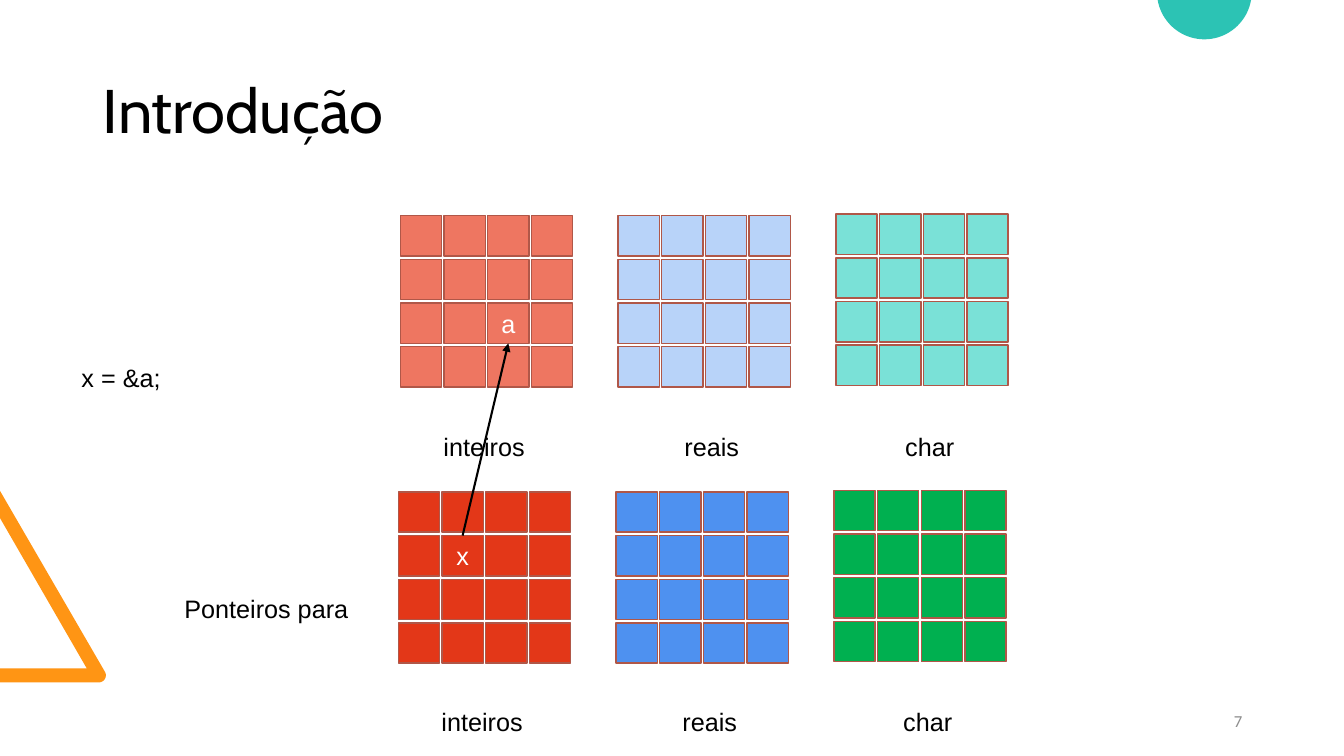
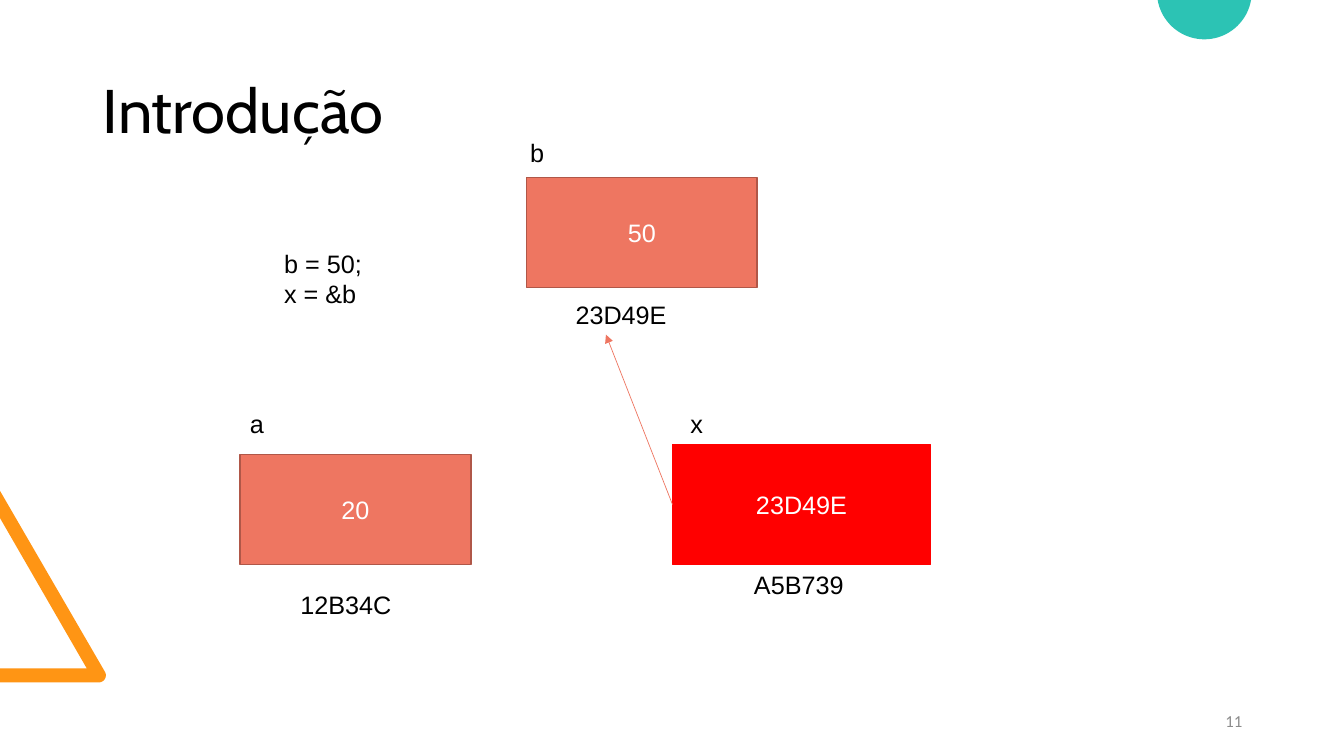
"""Build two slides on pointers and memory cells in C."""
from math import cos, sin, radians
from pptx import Presentation
from pptx.dml.color import RGBColor
from pptx.enum.shapes import MSO_CONNECTOR as Link, MSO_SHAPE as Form
from pptx.enum.text import MSO_ANCHOR as Anchor, MSO_AUTO_SIZE as Fit, PP_ALIGN as Align
from pptx.oxml.ns import qn
from pptx.util import Inches, Pt
from lxml.etree import SubElement

WIDE, HIGH = 13.33, 7.5
CORAL, EDGE, RED, BLACK, WHITE = "EE7661", "B05748", "FF0000", "000000", "FFFFFF"
ORANGE, TEAL, GREY = "FF9514", "2CC3B4", "8C8C8C"
BODY = {"name": "Arial", "size": Pt(18)}
HEAD = {"name": "Cabin", "size": Pt(44)}
FOOT = {"name": "Calibri", "size": Pt(12)}

SIDE, CELL_W, CELL_H, STEP = 4, 0.41, 0.4, 0.4333
GRID_X, GRID_STEP = 3.97, 2.16
KINDS = [("inteiros", 0.33, 1.05, 0), ("reais", 0.56, 0.74, 0), ("char", 0.59, 0.7, -0.015)]
BANDS = [
    {"top": 2.14, "shift": 0, "label": 4.23, "fills": [CORAL, "B8D3F9", "7AE1D7"],
     "marks": {(0, 2, 2): "a"}},
    {"top": 4.88, "shift": -0.02, "label": 6.96, "fills": ["E33718", "4E91F0", "00B050"],
     "marks": {(0, 1, 1): "x"}},
]
GRID_NOTES = [("Ponteiros para", 1.73, 5.84, 1.85, 0.4), ("x = &a;", 0.71, 3.55, 1.01, 0.4)]

BOXES = [
    ("20", 2.38, 4.51, 2.29, 1.09, CORAL, EDGE),
    ("50", 5.22, 1.76, 2.29, 1.09, CORAL, EDGE),
    ("23D49E", 6.67, 4.41, 2.56, 1.19, RED, RED),
]
BOX_NOTES = [
    ("A5B739", 7.38, 5.6, 1.13, 0.4), ("x", 6.75, 4, 0.32, 0.4),
    ("a", 2.38, 4, 0.34, 0.4), ("12B34C", 2.88, 5.8, 1.13, 0.4),
    ("b = 50;\nx = &b", 2.72, 2.41, 1.03, 0.71),
    ("b", 5.16, 1.31, 0.36, 0.4), ("23D49E", 5.61, 2.92, 1.13, 0.4),
]
TARGET = (6.01, 3.32)


def paint(form, tint):
    form.solid()
    form.fore_color.rgb = RGBColor.from_string(tint)


def write(shape, text, font, tint, align=Align.LEFT, **frame):
    body = shape.text_frame
    body.text = text
    for key, value in frame.items():
        setattr(body, key, value)
    for para in body.paragraphs:
        para.alignment = align
        for run in para.runs:
            for key, value in font.items():
                setattr(run.font, key, value)
            run.font.color.rgb = RGBColor.from_string(tint)


def box(slide, text, x, y, w, h, tint, edge):
    shape = slide.shapes.add_shape(Form.RECTANGLE, *map(Inches, (x, y, w, h)))
    shape.shadow.inherit = False
    paint(shape.fill, tint)
    paint(shape.line.fill, edge)
    shape.line.width = Pt(1)
    if text:
        write(shape, text, BODY, WHITE, Align.CENTER, vertical_anchor=Anchor.MIDDLE)
    return shape


def note(slide, text, *place):
    shape = slide.shapes.add_textbox(*map(Inches, place))
    write(shape, text, BODY, BLACK, word_wrap=False, auto_size=Fit.SHAPE_TO_FIT_TEXT)


def arrow(slide, start, side, tint, width, end=(0, 0), goal=None):
    line = slide.shapes.add_connector(Link.STRAIGHT, 0, 0, *map(Inches, end))
    line.begin_connect(start, side)
    if goal:
        line.end_connect(goal, 2)
    paint(line.line.fill, tint)
    line.line.width = Pt(width)
    SubElement(line.get_or_add_ln(), qn("a:tailEnd"), type="triangle")
    SubElement(line.element.spPr, qn("a:effectLst"))


def arc(x, y, r, first, last, count=40):
    turns = [radians(first + (last - first) * i / count) for i in range(count + 1)]
    return [(x + r * cos(t), y + r * sin(t)) for t in turns]


def decorate(slide, layout):
    corner = [(0, 6.77), (0, 6.63), (0.86, 6.63), (0, 5.14), (0, 4.87)]
    outlines = [(corner + arc(0.98, 6.7, 0.07, -30, 90), ORANGE),
                (arc(11.945, -0.08, 0.47, 9.8, 170.2), TEAL)]
    for points, tint in outlines:
        first, *rest = [tuple(map(Inches, point)) for point in points]
        pen = slide.shapes.build_freeform(*first)
        pen.add_line_segments(rest)
        shape = pen.convert_to_shape()
        shape.shadow.inherit = False
        paint(shape.fill, tint)
        shape.line.fill.background()
        layout.shapes.element.append(shape.element)


def start(deck, layout, number):
    slide = deck.slides.add_slide(layout)
    write(slide.shapes.title, "Introdução", HEAD, BLACK, vertical_anchor=Anchor.MIDDLE)
    slide.shapes.title.text_frame.paragraphs[0].line_spacing = 0.9
    foot = slide.shapes.add_textbox(*map(Inches, (9.42, 6.95, 3, 0.4)))
    write(foot, number, FOOT, GREY, Align.RIGHT, word_wrap=True, vertical_anchor=Anchor.MIDDLE)
    return slide


def fill_grids(slide):
    marked = {}
    for band in BANDS:
        for k, (name, inset, width, lift) in enumerate(KINDS):
            left = GRID_X + k * GRID_STEP + band["shift"]
            for row in range(SIDE):
                for col in range(SIDE):
                    mark = band["marks"].get((k, row, col), "")
                    cell = box(slide, mark, left + col * STEP, band["top"] + lift + row * STEP,
                               CELL_W, CELL_H, band["fills"][k], EDGE)
                    if mark:
                        marked[mark] = cell
            note(slide, name, left + inset, band["label"], width, 0.4)
    for item in GRID_NOTES:
        note(slide, *item)
    arrow(slide, marked["x"], 0, BLACK, 1.5, goal=marked["a"])


def fill_boxes(slide):
    *_, pointer = [box(slide, *item) for item in BOXES]
    for item in BOX_NOTES:
        note(slide, *item)
    arrow(slide, pointer, 1, CORAL, 0.5, end=TARGET)


def main():
    deck = Presentation()
    deck.slide_width, deck.slide_height = Inches(WIDE), Inches(HIGH)
    layout = deck.slide_layouts[5]
    place = {"left": 0.92, "top": 0.4, "width": 11.5, "height": 1.45}
    for key, value in place.items():
        setattr(layout.placeholders[0], key, Inches(value))
    cells, boxes = [start(deck, layout, number) for number in ("7", "11")]
    decorate(cells, layout)
    fill_grids(cells)
    fill_boxes(boxes)
    deck.save("out.pptx")


if __name__ == "__main__":
    main()
